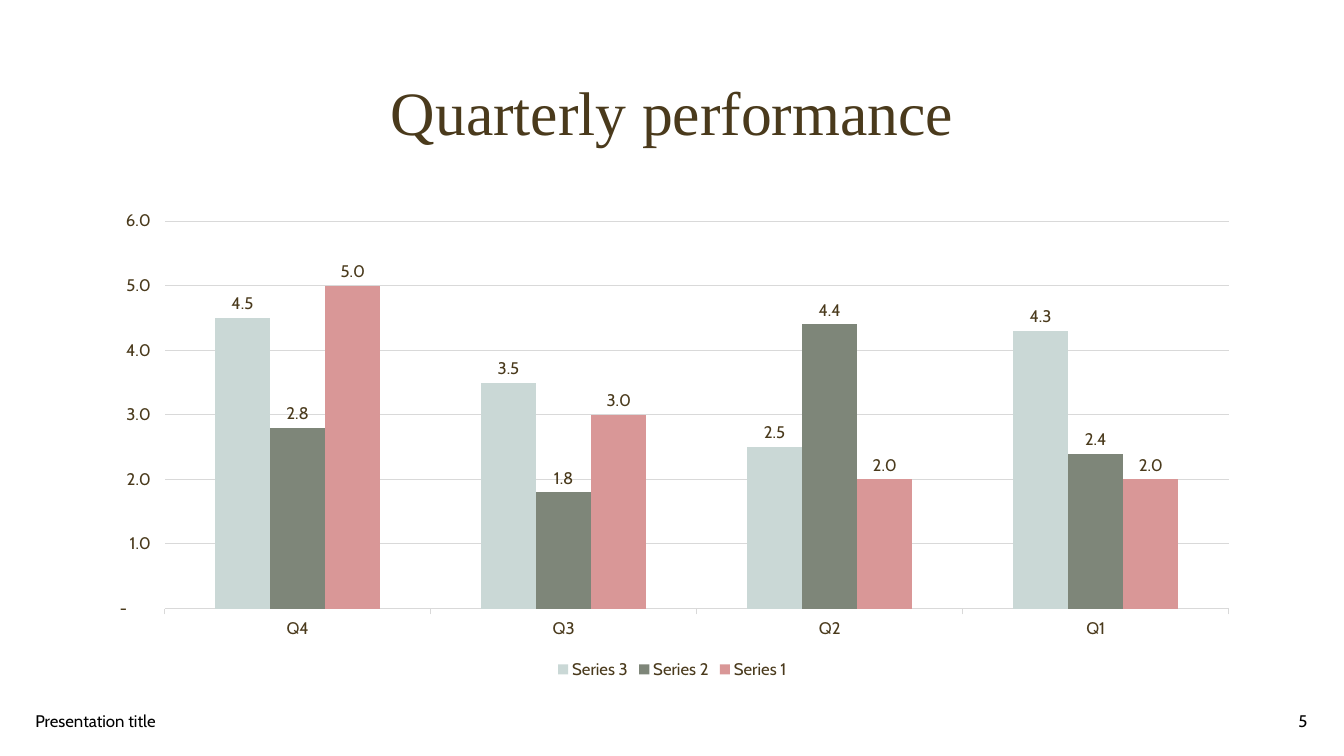
from dataclasses import dataclass

from pptx import Presentation
from pptx import util as u
from pptx.chart.data import CategoryChartData
from pptx.dml.color import RGBColor
from pptx.enum import chart as ch
from pptx.enum import text as tx
from pptx.text.text import Font, TextFrame


@dataclass(frozen=True)
class Theme:
    heading_font: str = "Times New Roman"
    body_font: str = "Cabin"
    brown: str = "4A3A1C"
    black: str = "000000"
    grid: str = "D9D9D9"
    heading_size: float = 44
    body_size: float = 12
    hairline: float = 0.75


@dataclass(frozen=True)
class Box:
    left: float
    top: float
    width: float
    height: float

    def lengths(self) -> tuple[u.Length, ...]:
        return tuple(u.Cm(side) for side in (self.left, self.top, self.width, self.height))


@dataclass(frozen=True)
class Series:
    name: str
    values: tuple[float, ...]
    color: str


@dataclass(frozen=True)
class FooterNote:
    text: str
    box: Box
    align: tx.PP_ALIGN


THEME = Theme()
NUMBER_FORMAT = '_(* #,##0.0_);_(* \\(#,##0.0\\);_(* "-"??_);_(@_)'
QUARTERS = ("Q4", "Q3", "Q2", "Q1")
SERIES = (
    Series("Series 3", (4.5, 3.5, 2.5, 4.3), "CAD8D6"),
    Series("Series 2", (2.8, 1.8, 4.4, 2.4), "7E8679"),
    Series("Series 1", (5, 3, 2, 2), "D99797"),
)
TITLE_BOX = Box(2.34, 1.07, 29.21, 3.68)
CHART_BOX = Box(2.34, 5.08, 29.21, 12.14)
FOOTER = (
    FooterNote("Presentation title", Box(0.64, 17.65, 11.43, 1.02), tx.PP_ALIGN.LEFT),
    FooterNote("5", Box(25.58, 17.65, 7.62, 1.02), tx.PP_ALIGN.RIGHT),
)


def style_font(font: Font, *, name: str = THEME.body_font,
               size: float = THEME.body_size, color: str = THEME.brown) -> None:
    font.name = name
    font.size = u.Pt(size)
    font.bold = False
    font.color.rgb = RGBColor.from_string(color)


def write(frame: TextFrame, content: str, *, align: tx.PP_ALIGN,
          spacing: float = 1.0, **font_format) -> None:
    frame.word_wrap = True
    frame.auto_size = tx.MSO_AUTO_SIZE.NONE
    frame.vertical_anchor = tx.MSO_ANCHOR.MIDDLE
    paragraph = frame.paragraphs[0]
    paragraph.alignment = align
    paragraph.line_spacing = spacing
    run = paragraph.add_run()
    run.text = content
    style_font(run.font, **font_format)


def style_line(line) -> None:
    line.color.rgb = RGBColor.from_string(THEME.grid)
    line.width = u.Pt(THEME.hairline)


def add_performance_chart(slide) -> None:
    figures = CategoryChartData(number_format=NUMBER_FORMAT)
    figures.categories = QUARTERS
    for series in SERIES:
        figures.add_series(series.name, series.values)
    chart = slide.shapes.add_chart(
        ch.XL_CHART_TYPE.COLUMN_CLUSTERED, *CHART_BOX.lengths(), figures).chart
    style_font(chart.font)
    chart.has_title = False
    chart.has_legend = True
    chart.legend.position = ch.XL_LEGEND_POSITION.BOTTOM
    chart.legend.include_in_layout = False
    style_font(chart.legend.font)

    quarters, scale = chart.category_axis, chart.value_axis
    for axis in (quarters, scale):
        axis.major_tick_mark = ch.XL_TICK_MARK.OUTSIDE
        axis.minor_tick_mark = ch.XL_TICK_MARK.NONE
        style_font(axis.tick_labels.font)
    style_line(quarters.format.line)
    scale.format.line.fill.background()
    scale.minimum_scale, scale.maximum_scale, scale.major_unit = 0, 6, 1
    scale.has_major_gridlines = True
    style_line(scale.major_gridlines.format.line)
    scale.tick_labels.number_format = NUMBER_FORMAT
    scale.tick_labels.number_format_is_linked = False

    plot = chart.plots[0]
    plot.gap_width = 182
    plot.overlap = 0
    plot.vary_by_categories = False
    for columns, series in zip(plot.series, SERIES):
        columns.format.fill.solid()
        columns.format.fill.fore_color.rgb = RGBColor.from_string(series.color)
        columns.invert_if_negative = False
        labels = columns.data_labels
        labels.show_value = True
        labels.position = ch.XL_LABEL_POSITION.OUTSIDE_END
        labels.number_format = NUMBER_FORMAT
        labels.number_format_is_linked = False
        style_font(labels.font)


def main() -> None:
    deck = Presentation()
    deck.slide_width, deck.slide_height = u.Cm(33.87), u.Cm(19.05)
    slide = deck.slides.add_slide(deck.slide_layouts.get_by_name("Title Only"))

    heading = slide.shapes.title
    heading.left, heading.top, heading.width, heading.height = TITLE_BOX.lengths()
    write(heading.text_frame, "Quarterly performance", align=tx.PP_ALIGN.CENTER,
          spacing=0.9, name=THEME.heading_font, size=THEME.heading_size)

    add_performance_chart(slide)

    for note in FOOTER:
        footer_box = slide.shapes.add_textbox(*note.box.lengths())
        write(footer_box.text_frame, note.text, align=note.align, color=THEME.black)

    deck.save("out.pptx")


if __name__ == "__main__":
    main()
